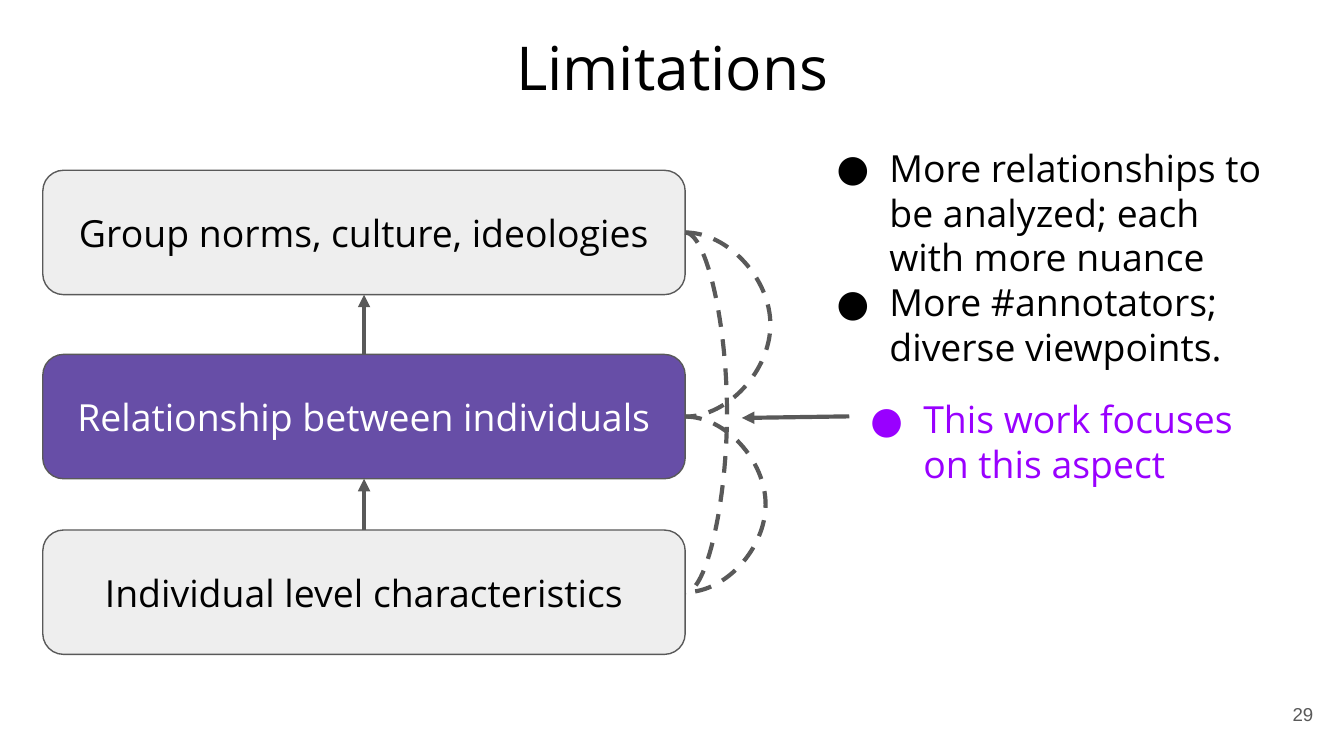
from collections import namedtuple

from lxml import etree
from pptx import Presentation
from pptx.dml.color import RGBColor as RGB
from pptx.enum.dml import MSO_LINE as Dash
from pptx.enum.shapes import MSO_CONNECTOR as Link, MSO_SHAPE as Shape
from pptx.enum.text import MSO_ANCHOR as Anchor, PP_ALIGN as Align
from pptx.oxml.ns import qn
from pptx.util import Cm, Pt

Theme = namedtuple("Theme", "font plain ink gray pale violet bright white title body small")
theme = Theme("Open Sans", "Arial", RGB(0, 0, 0), RGB(0x59, 0x59, 0x59),
              RGB(0xEE, 0xEE, 0xEE), RGB(0x67, 0x4E, 0xA7), RGB(0x99, 0, 0xFF),
              RGB(255, 255, 255), Pt(32.4), Pt(20), Pt(10))


def write(shape, lines, size, color, align, anchor=Anchor.TOP, face=theme.font, mark=False):
    """Fill a shape with paragraphs, bulleted if mark is set."""
    frame = shape.text_frame
    frame.word_wrap = True
    frame.vertical_anchor = anchor
    frame.margin_left = frame.margin_right = Cm(0.25)
    frame.margin_top = frame.margin_bottom = Cm(0.25)
    frame.text = "\n".join(lines)
    for para in frame.paragraphs:
        para.alignment = align
        para.font.name, para.font.size = face, size
        para.font.color.rgb = color
        if mark:
            props = para._p.get_or_add_pPr()
            props.set("marL", str(Cm(1.27)))
            props.set("indent", str(Cm(-1)))
            tint = etree.Element(qn("a:buClr"))
            etree.SubElement(tint, qn("a:srgbClr"), val=str(color))
            style = etree.Element(qn("a:buFont"), typeface=face)
            sign = etree.Element(qn("a:buChar"), char="●")
            for part in (tint, style, sign):
                props.insert_element_before(part, "a:tabLst", "a:defRPr")


def join(kind, ends, head=False):
    """Add a gray connector without shadow, with an arrowhead if head is set."""
    link = slide.shapes.add_connector(kind, *[Cm(n) for n in ends])
    link.line.color.rgb = theme.gray
    link.line.width = Pt(2.25)
    if head:
        etree.SubElement(link.line._get_or_add_ln(), qn("a:tailEnd"), type="triangle")
    etree.SubElement(link._element.spPr, qn("a:effectLst"))
    return link


deck = Presentation()
deck.slide_width, deck.slide_height = Cm(25.4), Cm(14.29)
slide = deck.slides.add_slide(deck.slide_layouts[6])

# Title
title = slide.shapes.add_textbox(Cm(0.87), Cm(0.31), Cm(23.67), Cm(1.6))
write(title, ["Limitations"], theme.title, theme.ink, Align.CENTER)

# Levels, from top to bottom
levels = [
    ("Group norms, culture, ideologies", 3.22, theme.pale, theme.ink),
    ("Relationship between individuals", 6.7, theme.violet, theme.white),
    ("Individual level characteristics", 10.02, theme.pale, theme.ink),
]
boxes = []
for label, top, fill, color in levels:
    box = slide.shapes.add_shape(Shape.ROUNDED_RECTANGLE, Cm(0.81), Cm(top), Cm(12.14), Cm(2.35))
    box.shadow.inherit = False
    box.fill.solid()
    box.fill.fore_color.rgb = fill
    box.line.color.rgb = theme.gray
    box.line.width = Pt(0.75)
    write(box, [label], theme.body, color, Align.CENTER, Anchor.MIDDLE)
    boxes.append(box)

# Arrows from each level up to the next
for upper, lower in zip(boxes, boxes[1:]):
    arrow = join(Link.STRAIGHT, (0, 0, 0, 0), head=True)
    arrow.begin_connect(lower, 0)
    arrow.end_connect(upper, 2)

# Dashed curves bulging right; the bend is a multiple of a hairline width.
# They start out running left to right, so that joining them leaves no flip.
hair = Cm(0.01)
for first, last, reach in [(0, 2, 0.79), (0, 1, 1.61), (1, 2, 1.52)]:
    curve = join(Link.CURVE, (0, 0, 25.4, 14.29))
    curve.begin_connect(boxes[first], 3)
    curve.end_connect(boxes[last], 3)
    curve.width = hair
    curve.line.dash_style = Dash.DASH
    bend = round(Cm(reach) / hair * 100000)
    guides = curve._element.spPr.find(qn("a:prstGeom")).find(qn("a:avLst"))
    etree.SubElement(guides, qn("a:gd"), name="adj1", fmla=f"val {bend}")

# Notes on the right
notes = [
    (15.29, 2.49, 8.92, 4.8, theme.ink,
     ["More relationships to be analyzed; each with more nuance",
      "More #annotators; diverse viewpoints."]),
    (15.93, 7.24, 8.28, 2.24, theme.bright, ["This work focuses on this aspect"]),
]
for left, top, width, height, color, lines in notes:
    note = slide.shapes.add_textbox(Cm(left), Cm(top), Cm(width), Cm(height))
    write(note, lines, theme.body, color, Align.LEFT, mark=True)

# Pointer from the focus note to the curves
join(Link.STRAIGHT, (16.05, 7.87, 14.02, 7.9), head=True)

# Page number
page = slide.shapes.add_textbox(Cm(23.55), Cm(12.95), Cm(1.52), Cm(1.09))
write(page, ["29"], theme.small, theme.gray, Align.RIGHT, Anchor.MIDDLE, theme.plain)

deck.save("out.pptx")
